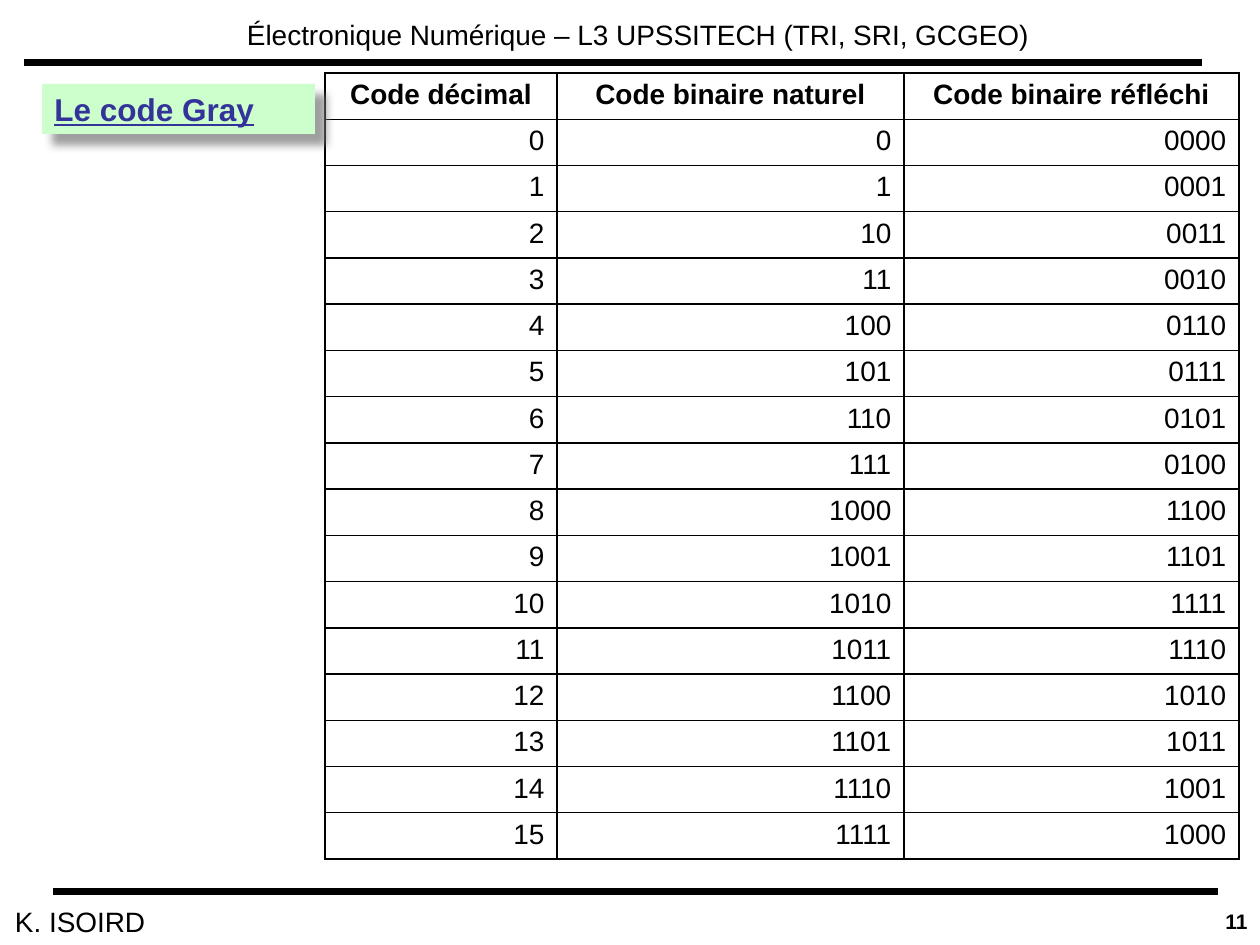
from lxml import etree
from pptx import Presentation, util as u
from pptx.dml.color import RGBColor
from pptx.enum import shapes, text
from pptx.oxml import parse_xml
from pptx.oxml.ns import nsdecls, qn

SCALE = 914400 // 126
ALIGN = text.PP_ALIGN


def px(value):
    return u.Emu(value * SCALE)


def style(paragraph, size, color="000000", bold=False, align=ALIGN.LEFT):
    paragraph.alignment = align
    for run in paragraph.runs:
        run.font.name = "Arial"
        run.font.size = u.Pt(size)
        run.font.bold = bold
        run.font.color.rgb = RGBColor.from_string(color)


presentation = Presentation()
presentation.slide_width, presentation.slide_height = px(1260), px(945)
slide = presentation.slides.add_slide(presentation.slide_layouts[6])

# Header and footer rules
for left, right, y in [(53, 1218, 892), (24, 1202, 63)]:
    rule = slide.shapes.add_connector(
        shapes.MSO_CONNECTOR.STRAIGHT, px(left), px(y), px(right), px(y))
    rule.line.color.rgb = RGBColor.from_string("000000")
    rule.line.width = u.Pt(4)
    etree.SubElement(rule._element.spPr, qn("a:effectLst"))

# Author and course title
for words, left, top, width, wrap in [
    ("K. ISOIRD", 0, 897, 161, False),
    ("Électronique Numérique – L3 UPSSITECH (TRI, SRI, GCGEO)", 232, 10, 1028, True),
]:
    box = slide.shapes.add_textbox(px(left), px(top), px(width), px(49))
    frame = box.text_frame
    frame.word_wrap = wrap
    frame.auto_size = text.MSO_AUTO_SIZE.SHAPE_TO_FIT_TEXT
    frame.margin_left = frame.margin_right = px(15)
    frame.margin_top = frame.margin_bottom = px(8)
    frame.text = words
    style(frame.paragraphs[0], 16)

# Code table: decimal, natural binary, reflected binary (Gray)
rows = [("Code décimal", "Code binaire naturel", "Code binaire réfléchi")]
rows += [(str(n), f"{n:b}", f"{n ^ n >> 1:04b}") for n in range(16)]
table = slide.shapes.add_table(
    len(rows), 3, px(325), px(73), px(914), px(785)).table
table.first_row = table.horz_banding = False
for column, width in zip(table.columns, (232, 347, 335)):
    column.width = px(width)
for row_index, values in enumerate(rows):
    table.rows[row_index].height = px(785) // len(rows)
    header = row_index == 0
    for column_index, value in enumerate(values):
        cell = table.cell(row_index, column_index)
        cell.text = value
        style(cell.text_frame.paragraphs[0], 16, bold=header,
              align=ALIGN.CENTER if header else ALIGN.RIGHT)
        for side in ("lnL", "lnR", "lnT", "lnB"):
            cell._tc.get_or_add_tcPr().append(parse_xml(
                f'<a:{side} {nsdecls("a")} w="12700"><a:solidFill>'
                f'<a:srgbClr val="000000"/></a:solidFill></a:{side}>'))
        cell.fill.background()

# Section label with its drop shadow
label = slide.shapes.add_shape(
    shapes.MSO_SHAPE.RECTANGLE, px(42), px(84), px(273), px(50))
label.fill.solid()
label.fill.fore_color.rgb = RGBColor.from_string("CCFFCC")
label.line.fill.background()
label._element.spPr.append(parse_xml(
    f'<a:effectLst {nsdecls("a")}><a:outerShdw blurRad="63500" dist="107950" '
    'dir="2700000" algn="tl" rotWithShape="0"><a:srgbClr val="808080">'
    '<a:alpha val="75000"/></a:srgbClr></a:outerShdw></a:effectLst>'))
frame = label.text_frame
frame.word_wrap = True
frame.auto_size = text.MSO_AUTO_SIZE.SHAPE_TO_FIT_TEXT
frame.vertical_anchor = text.MSO_ANCHOR.TOP
frame.text = "Le code Gray"
style(frame.paragraphs[0], 18, "333399", bold=True)
frame.paragraphs[0].runs[0].font.underline = True

# Page number
box = slide.shapes.add_textbox(px(966), px(895), px(294), px(50))
frame = box.text_frame
frame.word_wrap = True
frame.vertical_anchor = text.MSO_ANCHOR.MIDDLE
frame.text = "11"
paragraph = frame.paragraphs[0]
paragraph.line_spacing = 1.1
properties = paragraph._p.get_or_add_pPr()
properties.set("marL", "228600")
properties.set("indent", "-228600")
style(paragraph, 12, bold=True, align=ALIGN.RIGHT)

presentation.save("out.pptx")
